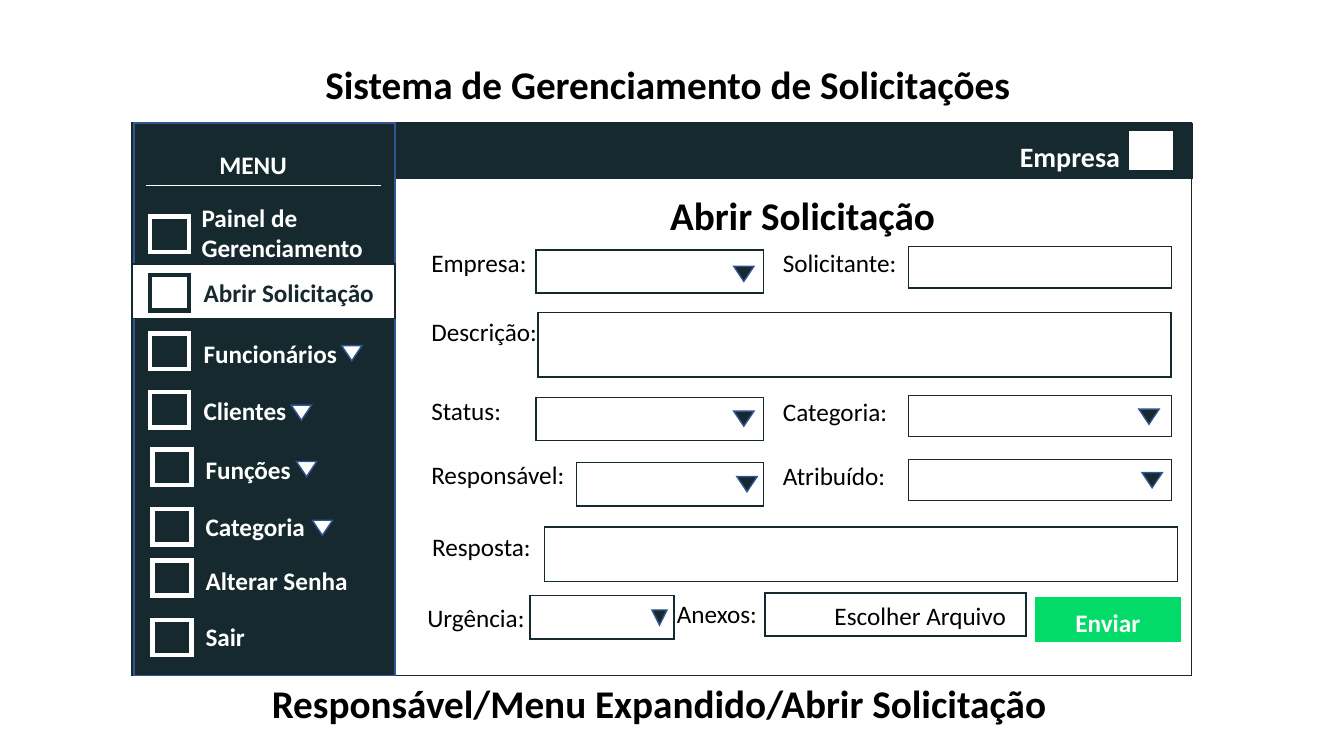
from lxml.etree import SubElement
from pptx import Presentation
from pptx.dml.color import RGBColor as Color
from pptx.enum.shapes import MSO_CONNECTOR as Connector, MSO_SHAPE as Preset
from pptx.enum.text import MSO_AUTO_SIZE as AutoSize
from pptx.oxml.ns import qn
from pptx.util import Cm, Pt

theme = {
    "font": "Calibri",
    "dark": Color.from_string("15292F"),
    "edge": Color.from_string("325491"),
    "green": Color.from_string("03DB68"),
    "white": Color.from_string("FFFFFF"),
    "black": Color.from_string("000000"),
    "title": Pt(28),
    "company": Pt(20),
    "body": Pt(18),
    "thin": Pt(0.5),
    "border": Pt(1),
    "icon": Pt(3.25),
}

presentation = Presentation()
presentation.slide_width = Cm(33.87)
presentation.slide_height = Cm(19.05)
slide = presentation.slides.add_slide(presentation.slide_layouts[6])


def draw(box, line, fill=None, weight="border", preset=Preset.RECTANGLE):
    shape = slide.shapes.add_shape(preset, *[Cm(length) for length in box])
    shape.shadow.inherit = False
    shape.line.color.rgb = theme[line]
    shape.line.width = theme[weight]
    SubElement(shape._element.spPr.find(qn("a:ln")), qn("a:miter"), lim="800000")
    if fill:
        shape.fill.solid()
        shape.fill.fore_color.rgb = theme[fill]
    else:
        shape.fill.background()
    if preset == Preset.ISOSCELES_TRIANGLE:
        shape.rotation = 180


def write(text, left, top, width, color="black", size="body", bold=False, height=1.02, wrap=False):
    box = slide.shapes.add_textbox(Cm(left), Cm(top), Cm(width), Cm(height))
    frame_format = {"word_wrap": wrap, "auto_size": AutoSize.SHAPE_TO_FIT_TEXT}
    for name, value in frame_format.items():
        setattr(box.text_frame, name, value)
    box.text_frame.text = text
    font_format = {"name": theme["font"], "size": theme[size], "bold": bold}
    for paragraph in box.text_frame.paragraphs:
        for name, value in font_format.items():
            setattr(paragraph.font, name, value)
        paragraph.font.color.rgb = theme[color]


draw((3.84, 3.12, 26.21, 1.37), "dark", "dark")
draw((3.33, 3.1, 26.7, 13.92), "dark")
draw((3.38, 3.1, 6.58, 13.92), "edge", "dark")
draw((3.33, 6.65, 6.63, 1.37), "dark", "white")
draw((28.52, 3.35, 0.99, 0.89), "white", "white", "icon")
draw((26.11, 15.06, 3.63, 1.09), "green", "green")

titles = [
    ("Sistema de Gerenciamento de Solicitações", 7.95, 1.4, 17.98),
    ("Abrir Solicitação", 16.64, 4.7, 7.26),
    ("Responsável/Menu Expandido/Abrir Solicitação", 6.6, 16.99, 20.47),
]
for text, left, top, width in titles:
    write(text, left, top, width, size="title", bold=True, height=1.45)

write("Empresa", 25.45, 3.38, 3.07, "white", "company", True, 1.12)
write("MENU", 5.28, 3.63, 2.24, "white", bold=True)
write("Enviar", 26.85, 15.19, 2.16, "white", bold=True)

divider = slide.shapes.add_connector(Connector.STRAIGHT, Cm(3.68), Cm(4.67), Cm(9.6), Cm(4.67))
divider.line.color.rgb = theme["white"]
divider.line.width = theme["thin"]
SubElement(divider._element.spPr, qn("a:effectLst"))

menu_items = [
    ("Painel de\nGerenciamento", 3.78, 5.46, 4.83, 4.98, 4.6, "white", None),
    ("Abrir Solicitação", 3.78, 6.93, 4.88, 6.86, 4.83, "dark", None),
    ("Funcionários", 3.78, 8.41, 4.88, 8.41, 3.89, "white", (8.61, 8.71)),
    ("Clientes", 3.78, 9.88, 4.88, 9.83, 2.62, "white", (7.34, 10.21)),
    ("Funções", 3.84, 11.33, 4.93, 11.33, 2.67, "white", (7.47, 11.63)),
    ("Categoria", 3.84, 12.83, 4.93, 12.75, 3.05, "white", (7.87, 13.11)),
    ("Alterar Senha", 3.84, 14.12, 4.93, 14.12, 4.11, "white", None),
    ("Sair", 3.84, 15.62, 4.93, 15.54, 1.52, "white", None),
]
for text, icon_left, icon_top, left, top, width, color, arrow in menu_items:
    draw((icon_left, icon_top, 0.99, 0.89), color, weight="icon")
    write(text, left, top, width, color, bold=True, height=1.8 if "\n" in text else 1.02)
    if arrow:
        draw((*arrow, 0.51, 0.38), "edge", "white", preset=Preset.ISOSCELES_TRIANGLE)

fields = [
    ("Empresa:", 10.62, 6.12, 2.95, (13.51, 6.3, 5.74, 1.09), (18.49, 6.71, 0.51, 0.38)),
    ("Solicitante:", 19.48, 6.12, 3.4, (22.89, 6.22, 6.63, 1.04), None),
    ("Descrição:", 10.62, 7.85, 3.2, (13.56, 7.87, 15.95, 1.63), None),
    ("Status:", 10.62, 9.83, 2.29, (13.51, 10.01, 5.74, 1.09), (18.49, 10.36, 0.51, 0.38)),
    ("Categoria:", 19.48, 9.86, 3.18, (22.89, 9.96, 6.63, 1.04), (28.7, 10.31, 0.51, 0.38)),
    ("Responsável:", 10.62, 11.46, 3.91, (14.53, 11.66, 4.72, 1.09), (18.57, 12.01, 0.51, 0.38)),
    ("Atribuído:", 19.48, 11.48, 3.12, (22.89, 11.58, 6.63, 1.04), (28.78, 11.91, 0.51, 0.38)),
    ("Resposta:", 10.64, 13.26, 3.63, (13.72, 13.28, 15.95, 1.37), None),
    ("Urgência:", 10.52, 15.06, 3, (13.36, 15.01, 3.63, 1.09), (16.43, 15.37, 0.38, 0.38)),
    ("Anexos:", 16.81, 14.94, 2.54, (19.28, 14.94, 6.58, 1.09), None),
]
for text, left, top, width, box, arrow in fields:
    draw(box, "dark")
    write(text, left, top, width, wrap=text == "Resposta:")
    if arrow:
        draw(arrow, "edge", "dark", preset=Preset.ISOSCELES_TRIANGLE)

write("Escolher Arquivo", 20.78, 15.01, 4.88)

presentation.save("out.pptx")
